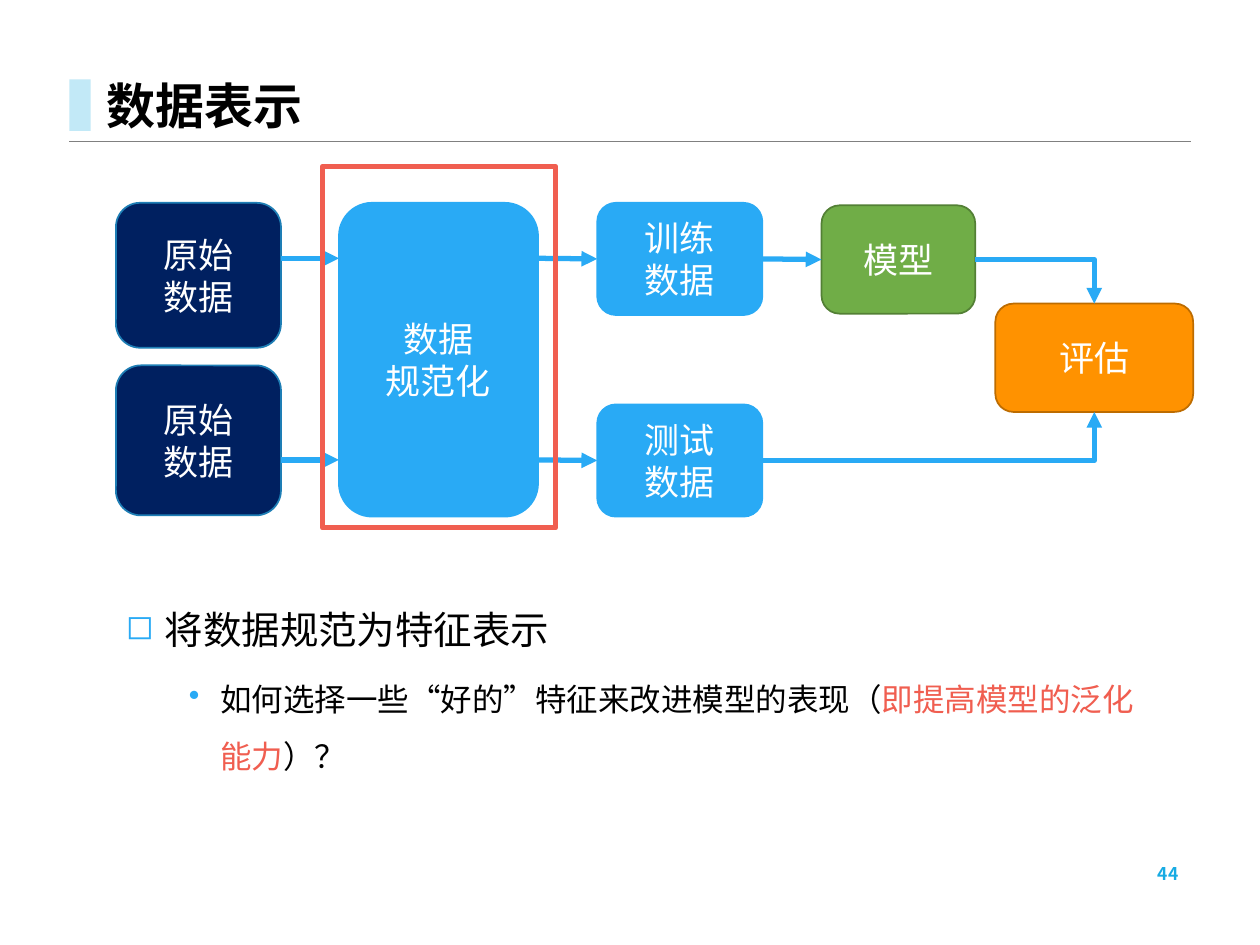
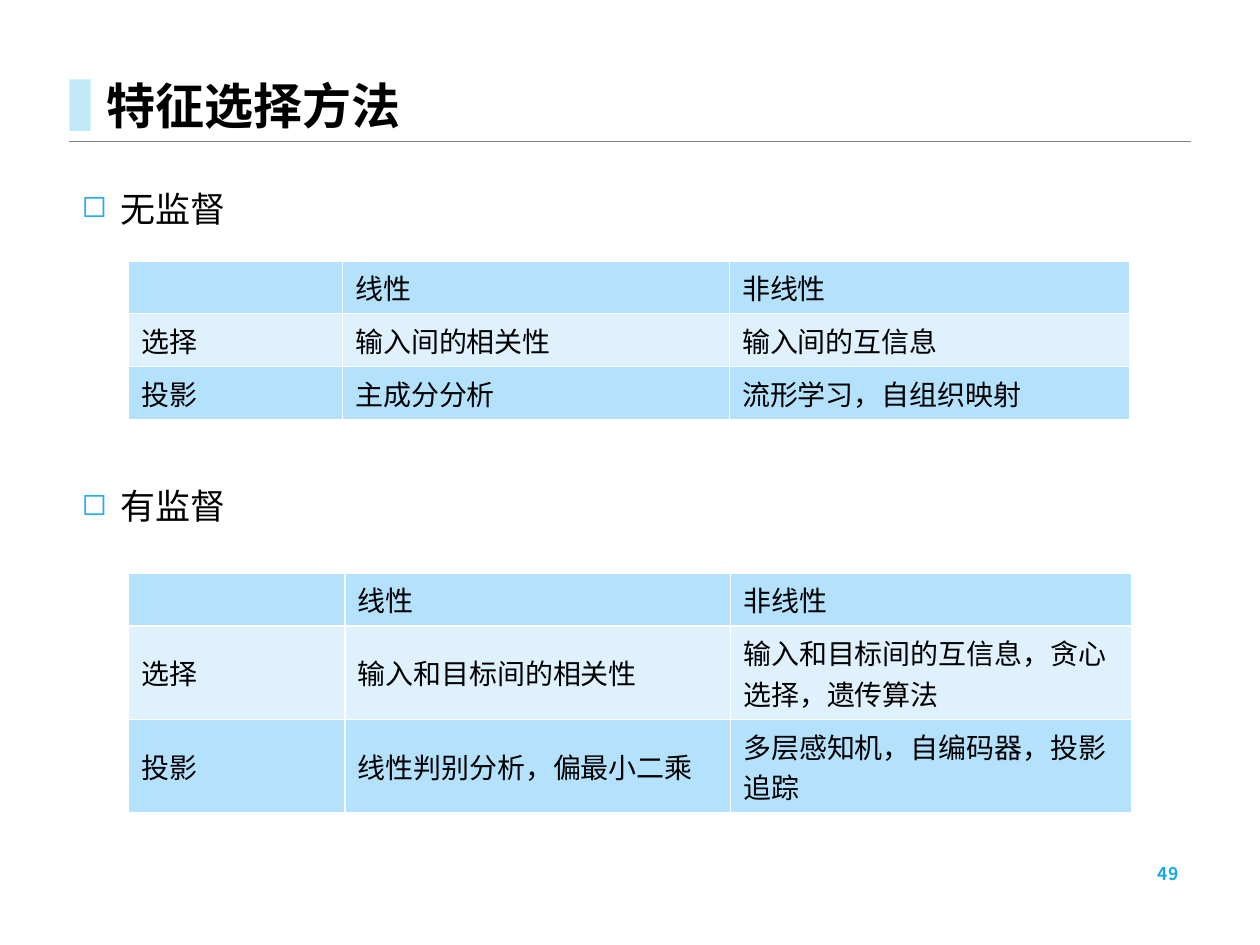
"""Two slides on feature representation and feature selection."""
from lxml import etree
from pptx import Presentation
from pptx import util as u
from pptx.dml.color import RGBColor
from pptx.enum import shapes, text
from pptx.oxml.ns import qn

COLORS = {
    "black": "000000", "white": "FFFFFF", "rule": "808080", "band": "C2E9F7",
    "page": "17ABE3", "blue": "29AAF5", "navy": "002060", "navy_line": "1E7EB5",
    "green": "70AD47", "green_line": "538035", "orange": "FF9200",
    "orange_line": "BD6C00", "red": "F05E50", "row_dark": "B4E1FC", "row_light": "E0F1FE",
}
CJK, LATIN = "Noto Sans CJK JP", "Arial"
ALIGN, ANCHOR = text.PP_ALIGN, text.MSO_ANCHOR
BOX, ROUND = shapes.MSO_SHAPE.RECTANGLE, shapes.MSO_SHAPE.ROUNDED_RECTANGLE
STRAIGHT, ELBOW = shapes.MSO_CONNECTOR.STRAIGHT, shapes.MSO_CONNECTOR.ELBOW
TOP, LEFT, BOTTOM, RIGHT = range(4)
BULLETS = [
    {"char": "◻", "size": "88000", "indent": 0.31, "left": 0.31, "before": 0},
    {"char": "•", "size": "100000", "indent": 0.25, "left": 0.75, "before": 5},
]


def rgb(name):
    """Return the named colour."""
    return RGBColor.from_string(COLORS[name])


def inches(*values):
    """Return the values as lengths."""
    return [u.Inches(v) for v in values]


def child(parent, tag, **attrs):
    """Append a drawing element to parent."""
    return etree.SubElement(parent, qn("a:" + tag), attrs)


def add_run(p, words, size, color="black", bold=False, font=CJK):
    """Add one formatted run to a paragraph."""
    r = p.add_run()
    r.text = words
    for key, value in {"size": u.Pt(size), "bold": bold, "name": font}.items():
        setattr(r.font, key, value)
    r.font.color.rgb = rgb(color)
    child(r.font._element, "ea", typeface=CJK)


def add_textbox(s, box, anchor=ANCHOR.TOP):
    """Add a wrapping text box and return its frame."""
    tf = s.shapes.add_textbox(*inches(*box)).text_frame
    tf.word_wrap, tf.vertical_anchor = True, anchor
    return tf


def add_box(s, box, fill=None, line=None, width=1, kind=BOX):
    """Add a preset shape with an optional fill and outline."""
    sp = s.shapes.add_shape(kind, *inches(*box))
    sp.shadow.inherit = False
    for part, color in ((sp.fill, fill), (sp.line.fill, line)):
        if color:
            part.solid()
            part.fore_color.rgb = rgb(color)
        else:
            part.background()
    if line:
        sp.line.width = u.Pt(width)
    return sp


def add_line(s, start, end, color, width, kind=STRAIGHT):
    """Add a connector without a shadow."""
    c = s.shapes.add_connector(kind, *inches(*start, *end))
    c.line.color.rgb, c.line.width = rgb(color), u.Pt(width)
    child(c._element.spPr, "effectLst")
    return c


def add_arrow(s, start, end, source=None, target=None, kind=STRAIGHT):
    """Add a blue arrow, joined to (shape, side) pairs where given."""
    c = add_line(s, start, end, "blue", 3, kind)
    if kind == ELBOW:
        c._element.spPr.find(qn("a:prstGeom")).set("prst", "bentConnector2")
    child(c.line._get_or_add_ln(), "tailEnd", type="triangle")
    if source:
        c.begin_connect(*source)
    if target:
        c.end_connect(*target)


def add_bullet(p, level, spacing=1.0):
    """Make a paragraph a bullet of the given level."""
    style = BULLETS[level]
    pPr = p._p.get_or_add_pPr()
    pPr.set("marL", str(u.Inches(style["left"])))
    pPr.set("indent", str(-u.Inches(style["indent"])))
    child(child(pPr, "buClr"), "srgbClr", val=COLORS["blue"])
    child(pPr, "buSzPct", val=style["size"])
    child(pPr, "buChar", char=style["char"])
    p.level, p.line_spacing = level, spacing
    if style["before"]:
        p.space_before = u.Pt(style["before"])


def add_frame(prs, title, number):
    """Start a slide with its rule, band, title and page number."""
    s = prs.slides.add_slide(prs.slide_layouts[6])
    add_line(s, (0.55, 1.12), (9.45, 1.12), "rule", 0.25)
    add_box(s, (0.55, 0.63, 0.17, 0.41), "band")
    p = add_textbox(s, (0.75, 0, 8.9, 1.12), ANCHOR.BOTTOM).paragraphs[0]
    p.line_spacing = 0.9
    add_run(p, title, 28, bold=True)
    p = add_textbox(s, (7.06, 6.82, 2.39, 0.23), ANCHOR.MIDDLE).paragraphs[0]
    p.alignment = ALIGN.RIGHT
    add_run(p, number, 10, "page", True)
    return s


def add_node(s, box, lines, fill, line, font=LATIN):
    """Add a rounded step of the flow with centred lines."""
    sp = add_box(s, box, fill, line, kind=ROUND)
    tf = sp.text_frame
    tf.vertical_anchor = ANCHOR.MIDDLE
    for i, words in enumerate(lines):
        p = tf.add_paragraph() if i else tf.paragraphs[0]
        p.alignment = ALIGN.CENTER
        add_run(p, words, 20, "white", font=font)
    return sp


def add_flow(s, left, top):
    """Draw the flow from raw data to evaluation."""
    def node(x, y, w, h, *style):
        return add_node(s, (left + x, top + y, w, h), *style)

    def at(x, y):
        return left + x, top + y

    upper, lower = 0.44, 2.04
    blue, navy = ("blue", "blue", CJK), ("navy", "navy_line")
    for y, h in ((0, 1.15), (1.29, 1.19)):
        node(0, y, 1.31, h, ["原始", "数据"], *navy)
    node(1.77, 0, 1.58, 2.49, ["数据", "规范化"], *blue)
    train = node(3.82, 0, 1.31, 0.89, ["训练", "数据"], *blue)
    test = node(3.82, 1.6, 1.31, 0.89, ["测试", "数据"], *blue)
    model = node(5.6, 0.02, 1.22, 0.86, ["模型"], "green", "green_line")
    score = node(6.98, 0.8, 1.57, 0.86, ["评估"], "orange", "orange_line")
    for y, data in ((upper, train), (lower, test)):
        add_arrow(s, at(1.31, y), at(1.77, y))
        add_arrow(s, at(3.35, y), at(3.82, y), target=(data, LEFT))
    add_arrow(s, at(5.13, upper), at(5.6, upper), (train, RIGHT), (model, LEFT))
    add_arrow(s, at(6.82, upper), at(7.76, 0.8), (model, RIGHT), (score, TOP), ELBOW)
    add_arrow(s, at(5.13, lower), at(7.76, 1.66), (test, RIGHT), (score, BOTTOM), ELBOW)
    add_box(s, (left + 1.64, top - 0.29, 1.85, 2.87), line="red", width=3)


def add_question(s, box):
    """Write the point and the question below the flow."""
    tf = add_textbox(s, box)
    p = tf.paragraphs[0]
    add_bullet(p, 0, 1.5)
    add_run(p, "将数据规范为特征表示", 22)
    p = tf.add_paragraph()
    add_bullet(p, 1, 1.5)
    for words, color in (("如何选择一些“好的”特征来改进模型的表现（", "black"),
                         ("即提高模型的泛化能力", "red"), ("）？", "black")):
        add_run(p, words, 18, color)


def add_cell(cell, words, fill):
    """Fill one table cell and give it white borders."""
    cell.fill.solid()
    cell.fill.fore_color.rgb = rgb(fill)
    cell.vertical_anchor = ANCHOR.MIDDLE
    p = cell.text_frame.paragraphs[0]
    p.font.size = u.Pt(16)
    if words:
        add_run(p, words, 16)
    tcPr = cell._tc.get_or_add_tcPr()
    for i, side in enumerate(("lnL", "lnR", "lnT", "lnB")):
        ln = child(tcPr, side, w=str(u.Pt(1)))
        child(child(ln, "solidFill"), "srgbClr", val=COLORS["white"])
        tcPr.insert(i, ln)


def add_methods(s, heading, top, table_top, widths, heights, rows):
    """Add a bulleted heading and its table of methods."""
    p = add_textbox(s, (0.55, top, 8.9, 0.5)).paragraphs[0]
    add_bullet(p, 0)
    add_run(p, heading, 20)
    rows = [("", "线性", "非线性"), *rows]
    box = (1.02, table_top, sum(widths), sum(heights))
    table = s.shapes.add_table(len(rows), len(widths), *inches(*box)).table
    table.first_row = table.horz_banding = False
    for column, width in zip(table.columns, widths):
        column.width = u.Inches(width)
    for i, (row, height) in enumerate(zip(rows, heights)):
        table.rows[i].height = u.Inches(height)
        for j, words in enumerate(row):
            add_cell(table.cell(i, j), words, "row_light" if i % 2 else "row_dark")


def representation_slide(prs):
    """Build the slide on data representation."""
    s = add_frame(prs, "数据表示", "44")
    add_question(s, (0.9, 4.58, 8.2, 1.98))
    add_flow(s, 0.92, 1.61)


def selection_slide(prs):
    """Build the slide on feature selection methods."""
    s = add_frame(prs, "特征选择方法", "49")
    add_methods(s, "无监督", 1.44, 2.07, (1.7, 3.07, 3.18), (0.42, 0.42, 0.42), [
        ("选择", "输入间的相关性", "输入间的互信息"),
        ("投影", "主成分分析", "流形学习，自组织映射")])
    add_methods(s, "有监督", 3.8, 4.55, (1.72, 3.06, 3.18), (0.42, 0.74, 0.74), [
        ("选择", "输入和目标间的相关性", "输入和目标间的互信息，贪心选择，遗传算法"),
        ("投影", "线性判别分析，偏最小二乘", "多层感知机，自编码器，投影追踪")])


def main():
    """Build and save the presentation."""
    prs = Presentation()
    prs.slide_width, prs.slide_height = inches(10, 7.5)
    representation_slide(prs)
    selection_slide(prs)
    prs.save("out.pptx")


if __name__ == "__main__":
    main()
